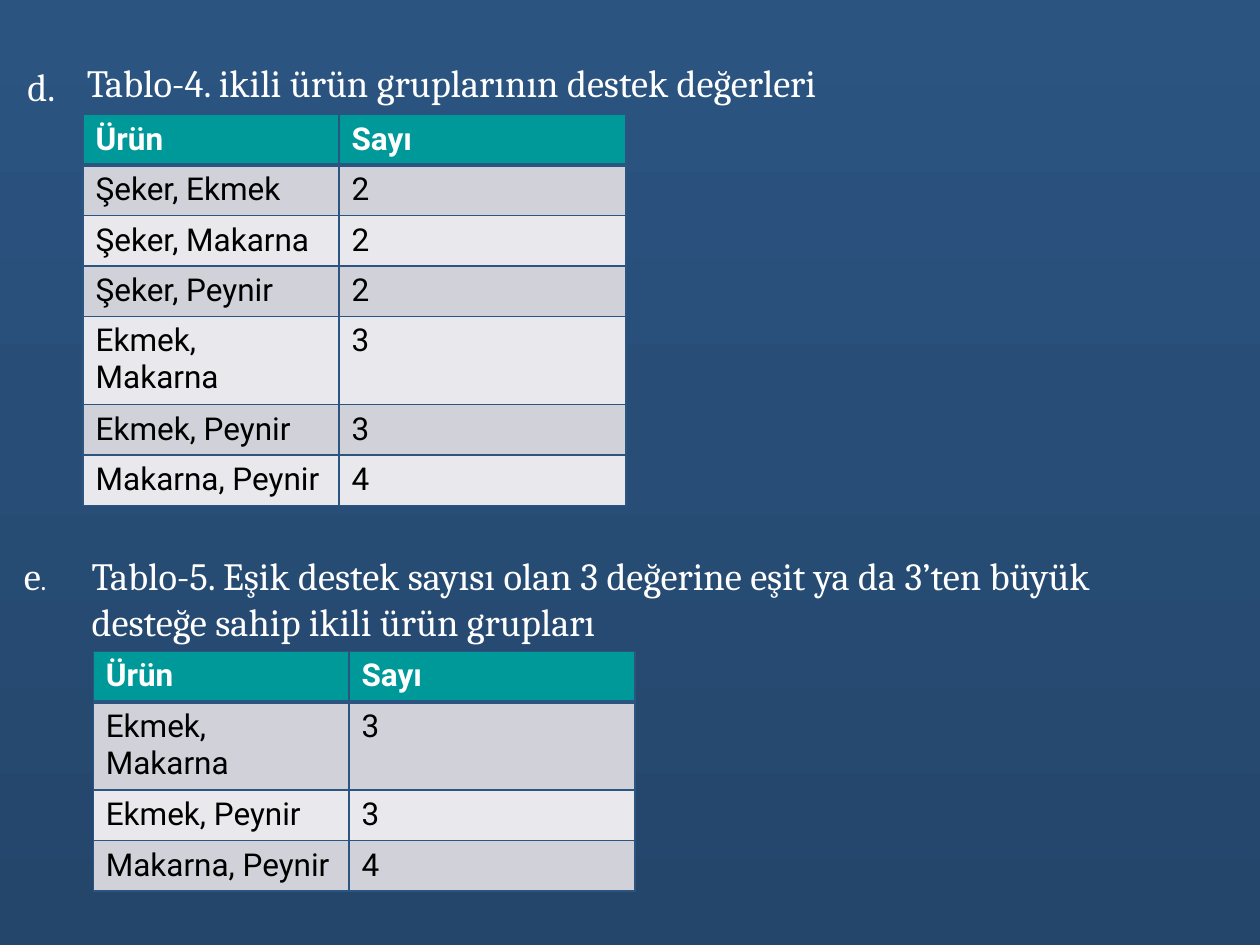
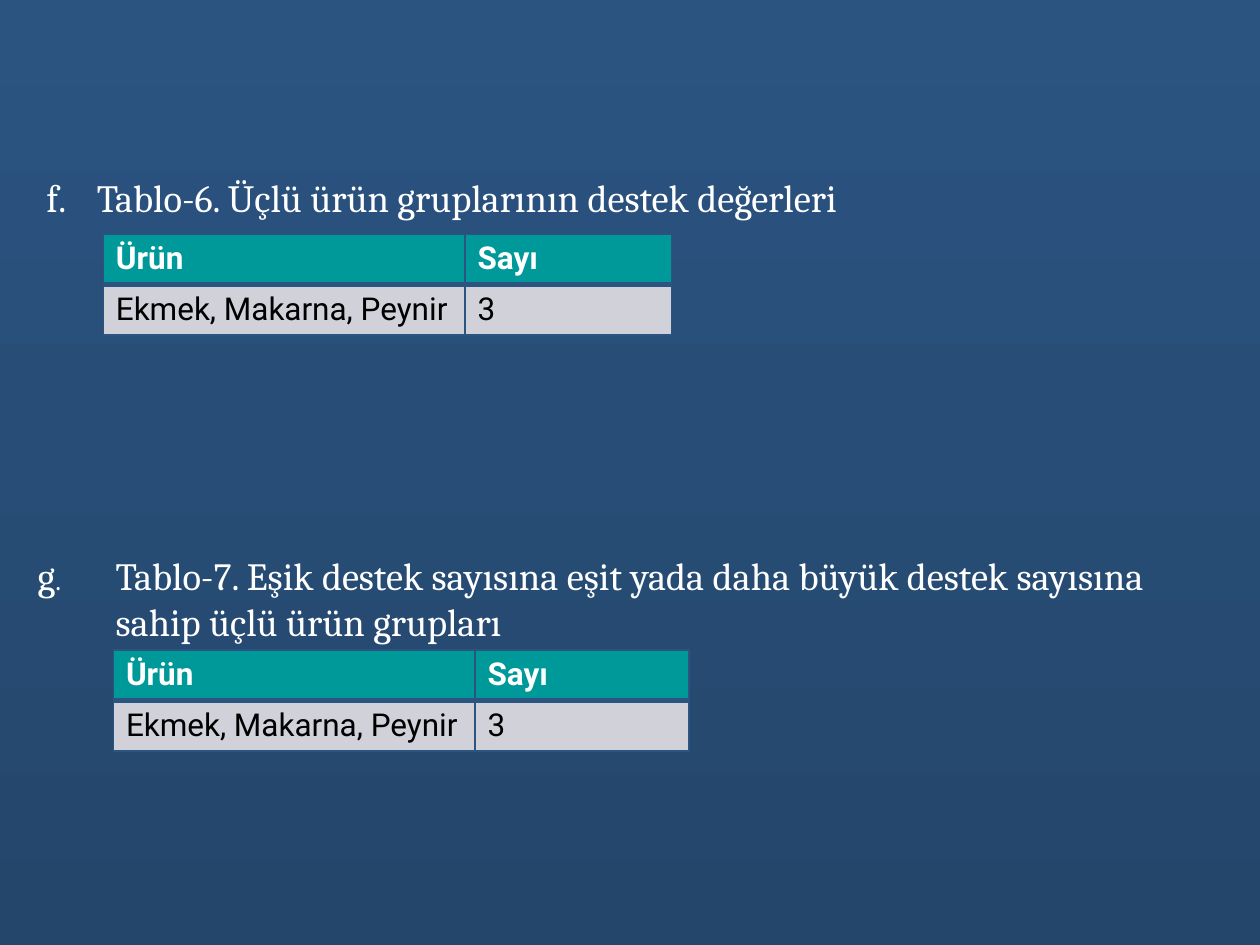
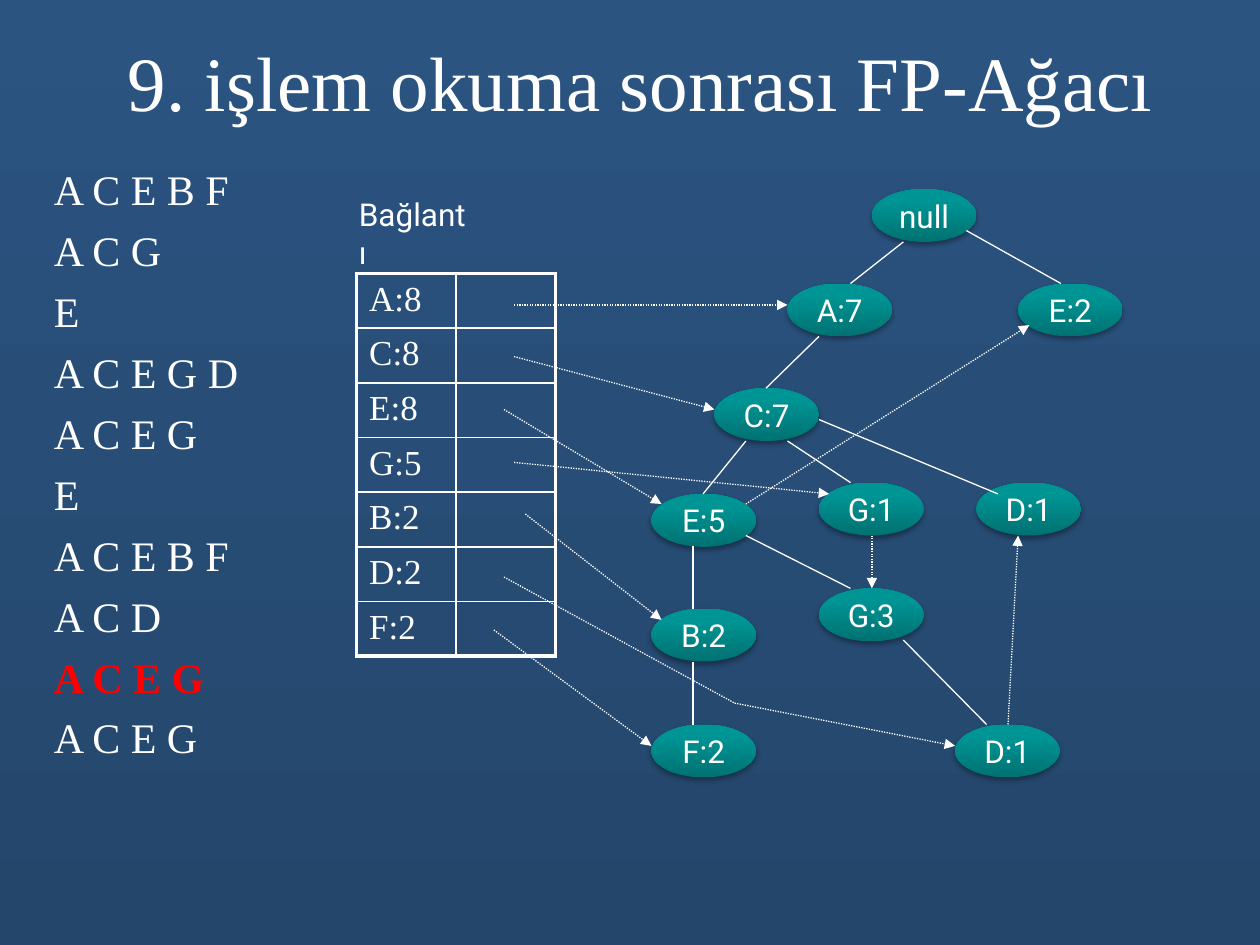
from dataclasses import dataclass

from lxml.etree import SubElement
from pptx import Presentation
from pptx.dml.color import RGBColor as Rgb
from pptx.enum.dml import MSO_LINE_DASH_STYLE as Dash
from pptx.enum.shapes import MSO_CONNECTOR as Connector, MSO_SHAPE as Shape
from pptx.enum.text import MSO_ANCHOR as Anchor, PP_ALIGN as Align
from pptx.oxml import parse_xml
from pptx.oxml.ns import nsdecls, qn
from pptx.util import Inches, Pt


@dataclass(frozen=True)
class Theme:
    """Colours, fonts and type sizes shared by the slides."""

    white: str = "FFFFFF"
    black: str = "000000"
    red: str = "FF0000"
    sky: str = "2B5481"
    deep: str = "24466B"
    teal: str = "009999"
    node_dark: str = "007272"
    node_light: str = "009595"
    bands: tuple = ("D1D1DA", "E9E9ED")
    caption_font: str = "Cambria"
    body_font: str = "Roboto"
    title_font: str = "Times New Roman"
    title: int = 44
    list: int = 24
    caption: int = 22
    link: int = 20
    body: int = 18
    dot: int = 16


THEME = Theme()
HEADER = ("Ürün", "Sayı")
TRIPLE = [("Ekmek, Makarna, Peynir", "3")]
FREQUENT_PAIRS = [("Ekmek, Makarna", "3"), ("Ekmek, Peynir", "3"), ("Makarna, Peynir", "4")]
PAIRS = [("Şeker, Ekmek", "2"), ("Şeker, Makarna", "2"), ("Şeker, Peynir", "2")] + FREQUENT_PAIRS
TRANSACTIONS = ["A C E B F", "A C G", "E", "A C E G D", "A C E G", "E",
                "A C E B F", "A C D", "A C E G", "A C E G"]
READ_TRANSACTION = 8
LINK_COUNTS = ["A:8", "C:8", "E:8", "G:5", "B:2", "D:2", "F:2"]
NODE_SIZE = (0.83, 0.42)
NODES = [
    ("null", 6.92, 1.5), ("A:7", 6.25, 2.25), ("E:2", 8.08, 2.25), ("C:7", 5.67, 3.08),
    ("E:5", 5.17, 3.92), ("G:1", 6.5, 3.83), ("D:1", 7.75, 3.83), ("B:2", 5.17, 4.83),
    ("G:3", 6.5, 4.67), ("F:2", 5.17, 5.75), ("D:1", 7.58, 5.75),
]
BRANCHES = [
    (7.17, 1.92, 6.75, 2.25), (7.67, 1.83, 8.42, 2.25), (6.5, 2.67, 6.08, 3.08),
    (5.92, 3.5, 5.58, 3.92), (6.25, 3.5, 6.75, 3.83), (6.5, 3.33, 7.92, 3.92),
    (5.5, 4.33, 5.5, 4.83), (5.92, 4.25, 6.75, 4.67), (5.5, 5.25, 5.5, 5.75),
    (7.17, 5.08, 7.83, 5.75),
]
POINTERS = [
    (4.08, 2.42, 6.25, 2.42), (4.08, 2.83, 5.67, 3.25), (4, 3.25, 5.25, 4),
    (4.08, 3.67, 6.58, 3.92), (4.17, 4.08, 5.25, 4.92), (5.83, 5.58, 7.58, 5.92),
    (3.92, 5, 5.17, 5.92), (5.92, 4, 8.17, 2.58), (6.92, 4.25, 6.92, 4.67),
    (8, 5.75, 8.08, 4.25),
]
POINTER_BEND = (4, 4.58, 5.83, 5.58)


def inches(*lengths):
    """Turn numbers into lengths."""
    return [Inches(length) for length in lengths]


def write(para, text, size=THEME.body, font=THEME.body_font, color=THEME.white, bold=False):
    """Append one formatted span to a paragraph."""
    span = para.add_run()
    span.text = text
    span.font.size = Pt(size)
    span.font.name = font
    span.font.bold = bold
    span.font.color.rgb = Rgb.from_string(color)


def add_box(page, place, lines, align=Align.LEFT, anchor=Anchor.TOP, gap=0, marked=None, **style):
    """Add a text box with one paragraph per line and return its frame."""
    frame = page.shapes.add_textbox(*inches(*place)).text_frame
    frame.word_wrap = True
    frame.vertical_anchor = anchor
    for index, line in enumerate(lines):
        para = frame.add_paragraph() if index else frame.paragraphs[0]
        para.alignment = align
        if index and gap:
            para.space_before = Pt(gap)
        mark = {"color": THEME.red, "bold": True} if index == marked else {}
        write(para, line, **{**style, **mark})
    return frame


def add_caption(page, place, *lines):
    """Add a caption in the caption style."""
    return add_box(page, place, lines, size=THEME.caption, font=THEME.caption_font)


def add_letter(page, place, letter):
    """Add an item letter followed by a smaller dot."""
    frame = add_caption(page, place, letter)
    write(frame.paragraphs[0], ".", size=THEME.dot, font=THEME.caption_font)


def set_borders(cell, color, **widths):
    """Draw the four borders of a cell, 1 point unless given."""
    props = cell._tc.get_or_add_tcPr()
    for index, side in enumerate("LRTB"):
        width = Pt(widths.get(side, 1))
        props.insert(index, parse_xml(
            f'<a:ln{side} {nsdecls("a")} w="{width}"><a:solidFill>'
            f'<a:srgbClr val="{color}"/></a:solidFill></a:ln{side}>'))


def add_grid(page, left, top, widths, row_height, row_count):
    """Add a plain table with equal rows."""
    size = (sum(widths), row_height * row_count)
    table = page.shapes.add_table(row_count, len(widths), *inches(left, top, *size)).table
    table.horz_banding = False
    table.first_row = False
    for column, width in zip(table.columns, widths):
        column.width = Inches(width)
    return table


def add_product_table(page, left, top, widths, products):
    """Add a table of product groups and their counts."""
    rows = [HEADER, *products]
    table = add_grid(page, left, top, widths, 0.4, len(rows))
    for row, values in enumerate(rows):
        head = row == 0
        fill = THEME.teal if head else THEME.bands[(row - 1) % 2]
        edges = {0: {"B": 3}, 1: {"T": 3}}.get(row, {})
        for column, value in enumerate(values):
            cell = table.cell(row, column)
            cell.fill.solid()
            cell.fill.fore_color.rgb = Rgb.from_string(fill)
            set_borders(cell, THEME.sky, **edges)
            write(cell.text_frame.paragraphs[0], value, bold=head,
                  color=THEME.white if head else THEME.black)


def add_link_table(page):
    """Add the outlined table of item counts with empty link cells."""
    last = len(LINK_COUNTS) - 1
    table = add_grid(page, 2.83, 2.17, (0.79, 0.79), 0.41, len(LINK_COUNTS))
    for row, count in enumerate(LINK_COUNTS):
        for column, outer in enumerate("LR"):
            cell = table.cell(row, column)
            cell.fill.background()
            edges = {outer: 2.25}
            if row == 0:
                edges["T"] = 2.25
            if row == last:
                edges["B"] = 2.25
            set_borders(cell, THEME.white, **edges)
        write(table.cell(row, 0).text_frame.paragraphs[0], count,
              size=THEME.link, font=THEME.title_font)


def set_gradient(fill, start, end, angle, end_position=1.0):
    """Give a fill a two-colour linear gradient."""
    fill.gradient()
    fill.gradient_angle = angle
    for stop, color in zip(fill.gradient_stops, (start, end)):
        stop.color.rgb = Rgb.from_string(color)
    fill.gradient_stops[1].position = end_position


def add_node(page, label, left, top):
    """Add one shaded tree node."""
    node = page.shapes.add_shape(Shape.OVAL, *inches(left, top, *NODE_SIZE))
    set_gradient(node.fill, THEME.node_dark, THEME.node_light, 90, 0.8)
    node.line.fill.background()
    node.shadow.inherit = False
    effects = node._element.spPr.find(qn("a:effectLst"))
    effects.append(parse_xml(
        f'<a:outerShdw {nsdecls("a")} blurRad="{Pt(3.1)}" dist="{Pt(1.8)}" dir="5400000" '
        f'rotWithShape="0"><a:srgbClr val="{THEME.black}"><a:alpha val="35000"/>'
        '</a:srgbClr></a:outerShdw>'))
    frame = node.text_frame
    frame.word_wrap = False
    frame.vertical_anchor = Anchor.MIDDLE
    frame.paragraphs[0].alignment = Align.CENTER
    write(frame.paragraphs[0], label)


def add_line(page, ends, dotted=False, arrow=False):
    """Add a thin white line, dotted or with an arrowhead on request."""
    line = page.shapes.add_connector(Connector.STRAIGHT, *inches(*ends))
    line.line.width = Pt(0.75)
    line.line.color.rgb = Rgb.from_string(THEME.white)
    if dotted:
        line.line.dash_style = Dash.ROUND_DOT
    if arrow:
        SubElement(line.line._get_or_add_ln(), qn("a:tailEnd"), type="triangle")
    SubElement(line._element.spPr, qn("a:effectLst"))


def add_page(deck):
    """Add a blank page with the shared background."""
    page = deck.slides.add_slide(deck.slide_layouts[6])
    set_gradient(page.background.fill, THEME.sky, THEME.deep, 270)
    return page


def build_pairs(deck):
    """Build the page of product pairs."""
    page = add_page(deck)
    add_caption(page, (0.59, 0.42, 6.49, 0.47), "Tablo-4. ikili ürün gruplarının destek değerleri")
    add_product_table(page, 0.66, 0.91, (2.03, 2.28), PAIRS)
    add_caption(page, (0.12, 0.45, 0.46, 0.47), "d.")
    add_letter(page, (0.09, 4.33, 0.41, 0.47), "e")
    add_product_table(page, 0.74, 5.17, (2.03, 2.27), FREQUENT_PAIRS)
    add_caption(page, (0.63, 4.33, 9, 0.83),
                "Tablo-5. Eşik destek sayısı olan 3 değerine eşit ya da 3’ten büyük",
                "desteğe sahip ikili ürün grupları")


def build_triples(deck):
    """Build the page of product triples."""
    page = add_page(deck)
    add_caption(page, (0.67, 1.33, 6.6, 0.47), "Tablo-6. Üçlü ürün gruplarının destek değerleri")
    add_product_table(page, 0.82, 1.86, (2.87, 1.64), TRIPLE)
    add_caption(page, (0.27, 1.33, 0.38, 0.47), "f.")
    add_letter(page, (0.2, 4.33, 0.42, 0.47), "g")
    add_product_table(page, 0.9, 5.16, (2.87, 1.7), TRIPLE)
    add_caption(page, (0.82, 4.33, 9.15, 0.83),
                "Tablo-7. Eşik destek sayısına eşit yada daha büyük destek sayısına",
                "sahip üçlü ürün grupları")


def build_tree(deck):
    """Build the page of the tree and its link table."""
    page = add_page(deck)
    add_box(page, (0.33, 1.25, 2.17, 5.08), TRANSACTIONS, gap=6, marked=READ_TRANSACTION,
            size=THEME.list, font=THEME.title_font)
    add_link_table(page)
    for node in NODES:
        add_node(page, *node)
    for ends in BRANCHES:
        add_line(page, ends)
    add_line(page, POINTER_BEND, dotted=True)
    for ends in POINTERS:
        add_line(page, ends, dotted=True, arrow=True)
    add_box(page, (0.17, 0.25, 9.83, 0.78), ["9. işlem okuma sonrası FP-Ağacı"],
            align=Align.CENTER, anchor=Anchor.MIDDLE, size=THEME.title, font=THEME.title_font)
    add_box(page, (2.75, 1.5, 1.1, 0.4), ["Bağlantı"])


def main():
    """Build and save the deck."""
    deck = Presentation()
    deck.slide_width, deck.slide_height = inches(10, 7.5)
    build_pairs(deck)
    build_triples(deck)
    build_tree(deck)
    deck.save("out.pptx")


if __name__ == "__main__":
    main()
